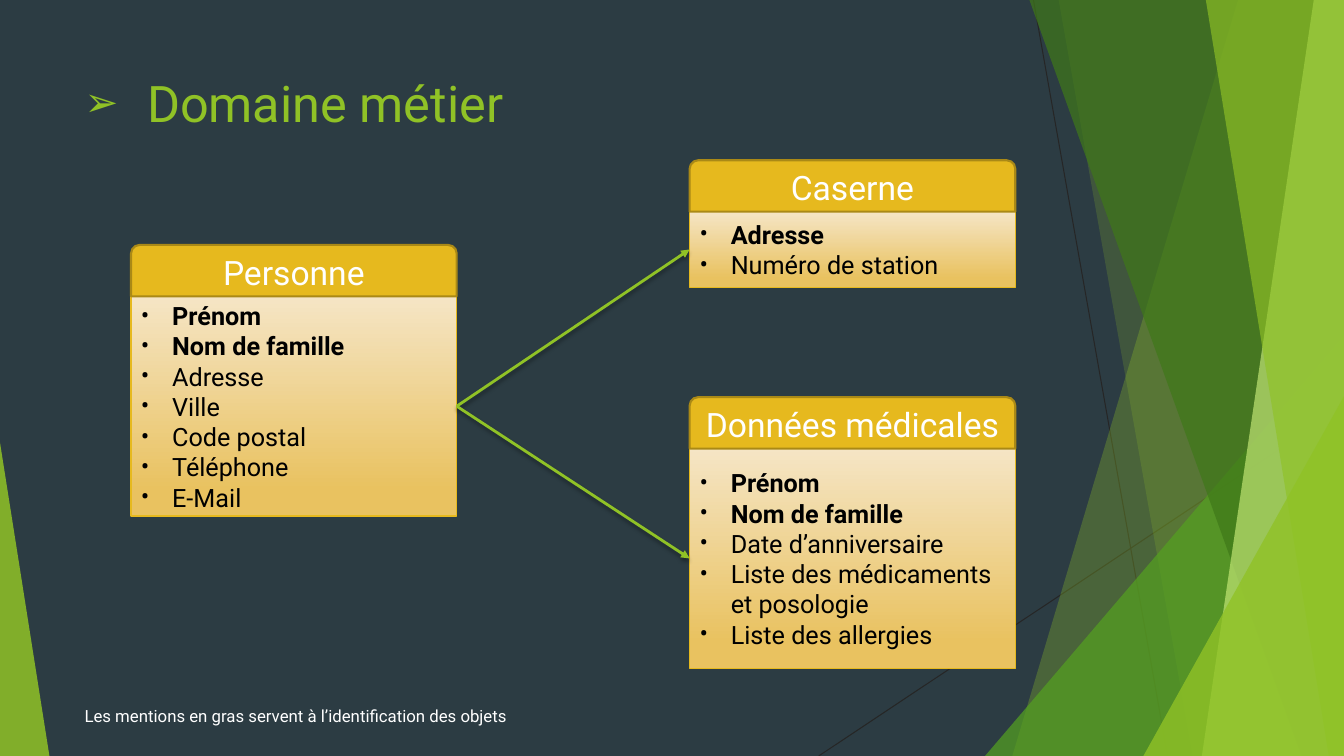
from lxml import etree
from pptx import Presentation
from pptx.dml.color import RGBColor
from pptx.enum.shapes import MSO_CONNECTOR, MSO_SHAPE
from pptx.enum.text import MSO_ANCHOR, PP_ALIGN
from pptx.oxml.ns import qn
from pptx.util import Inches, Pt

STRAIGHT = MSO_CONNECTOR.STRAIGHT
RECT = MSO_SHAPE.RECTANGLE
ROUND_TOP = MSO_SHAPE.ROUND_2_SAME_RECTANGLE
TRIANGLE = MSO_SHAPE.ISOSCELES_TRIANGLE
MIDDLE = MSO_ANCHOR.MIDDLE
LEFT, CENTER = PP_ALIGN.LEFT, PP_ALIGN.CENTER

FONT = "Roboto"
GREEN, GOLD, WHITE = "90C226", "E6B91E", "FFFFFF"
WIDTH, HEIGHT = 13.33, 7.5
CARD_WIDTH, HEADER_HEIGHT = 3.23, 0.51
LEFT_COLUMN, RIGHT_COLUMN = 1.3, 6.84

# Cards: left, top, body height, title, identifying fields, other fields
PERSON = (LEFT_COLUMN, 2.43, 2.18, "Personne", ["Prénom", "Nom de famille"],
          ["Adresse", "Ville", "Code postal", "Téléphone", "E-Mail"])
STATION = (RIGHT_COLUMN, 1.59, 0.75, "Caserne", ["Adresse"],
           ["Numéro de station"])
MEDICAL = (RIGHT_COLUMN, 3.94, 2.18, "Données médicales",
           ["Prénom", "Nom de famille"],
           ["Date d’anniversaire", "Liste des médicaments et posologie",
            "Liste des allergies"])


def rgb(color):
    return RGBColor.from_string(color)


def add_xml(parent, tag, **attrs):
    return etree.SubElement(parent, qn(tag), attrs)


def paint(sp, color, opacity=100):
    """Flat fill without outline or shadow."""
    sp.shadow.inherit = False
    sp.fill.solid()
    sp.fill.fore_color.rgb = rgb(color)
    sp.line.fill.background()
    if opacity < 100:
        clr = sp.fill._xPr.find(qn("a:solidFill"))[0]
        add_xml(clr, "a:alpha", val=str(opacity * 1000))


def outline(sp, color, width):
    sp.line.color.rgb = rgb(color)
    sp.line.width = Pt(width)


def write(p, text, size, color, bold=False, align=LEFT):
    p.text = text
    p.alignment = align
    font = p.runs[0].font
    font.name, font.size, font.bold = FONT, Pt(size), bold
    font.color.rgb = rgb(color)


def add_bullet(p, char, indent, scale=100):
    pPr = p._p.get_or_add_pPr()
    pPr.set("marL", str(Inches(indent)))
    pPr.set("indent", str(-Inches(indent)))
    add_xml(pPr, "a:buSzPct", val=str(scale * 1000))
    add_xml(pPr, "a:buFont", typeface=FONT)
    add_xml(pPr, "a:buChar", char=char)


def add_line(s, start, end, color, width):
    line = s.shapes.add_connector(STRAIGHT, *map(Inches, start + end))
    outline(line, color, width)
    effects = add_xml(line._element.spPr, "a:effectLst")
    return line, effects


def add_panel(s, top_x, bottom_x, color, opacity):
    """Slanted panel that reaches the right edge of the slide."""
    points = [(Inches(x), Inches(y)) for x, y in
              [(top_x, 0), (WIDTH, 0), (WIDTH, HEIGHT), (bottom_x, HEIGHT)]]
    builder = s.shapes.build_freeform(*points[0])
    builder.add_line_segments(points[1:], close=True)
    paint(builder.convert_to_shape(), color, opacity)


def add_corner(s, left, top, width, apex, color, opacity):
    """Triangle that stands on the bottom edge of the slide."""
    sp = s.shapes.add_shape(TRIANGLE, Inches(left), Inches(top),
                            Inches(width), Inches(HEIGHT - top))
    sp.adjustments[0] = apex
    paint(sp, color, opacity)


def add_backdrop(s):
    s.background.fill.solid()
    s.background.fill.fore_color.rgb = rgb("2C3C43")
    add_line(s, (10.25, 0), (11.58, HEIGHT), "262626", 0.75)
    add_line(s, (WIDTH, 4.03), (8.12, HEIGHT), "262626", 0.75)
    add_panel(s, 12.28, 10.04, GREEN, 30)
    add_panel(s, 10.5, 11.83, GREEN, 20)
    add_corner(s, 9.77, 3.33, 3.56, 1, "54A021", 72)
    add_panel(s, 10.21, 12.91, "3F7819", 70)
    add_panel(s, 13.03, 11.92, "C0E474", 70)
    add_panel(s, 11.96, 13.18, GREEN, 65)
    add_corner(s, 11.34, 3.93, 1.99, 1, GREEN, 80)
    add_corner(s, 0, 4.39, 0.49, 0, GREEN, 85)


def add_text(s, box, text, size, color):
    tb = s.shapes.add_textbox(*map(Inches, box))
    tb.text_frame.word_wrap = True
    p = tb.text_frame.paragraphs[0]
    write(p, text, size, color)
    return p


def add_card(s, left, top, body_height, title, keys, fields):
    """Titled card; returns its body so that arrows can be attached."""
    # Body with the field list
    body = s.shapes.add_shape(RECT, Inches(left), Inches(top + HEADER_HEIGHT),
                              Inches(CARD_WIDTH), Inches(body_height))
    body.shadow.inherit = False
    body.fill.gradient()
    body.fill.gradient_angle = 270
    for stop, (position, color) in zip(body.fill.gradient_stops,
                                       [(0, "F5E5C5"), (0.88, "E9C260")]):
        stop.position = position
        stop.color.rgb = rgb(color)
    outline(body, GOLD, 1)
    tf = body.text_frame
    tf.word_wrap = True
    tf.vertical_anchor = MIDDLE
    for i, field in enumerate(keys + fields):
        p = tf.add_paragraph() if i else tf.paragraphs[0]
        write(p, field, 18, "000000", bold=i < len(keys))
        add_bullet(p, "•", 0.31)

    # Header
    header = s.shapes.add_shape(ROUND_TOP, Inches(left), Inches(top),
                                Inches(CARD_WIDTH), Inches(HEADER_HEIGHT))
    paint(header, GOLD)
    outline(header, "AA8916", 1.5)
    header.text_frame.word_wrap = True
    header.text_frame.vertical_anchor = MIDDLE
    write(header.text_frame.paragraphs[0], title, 24, WHITE, align=CENTER)
    return body


def add_arrow(s, source, target):
    """Arrow from the right side of one card body to the left of another."""
    line, effects = add_line(s, (0, 0), (1, 1), GREEN, 2)
    line.begin_connect(source, 3)
    line.end_connect(target, 1)
    add_xml(line.line._get_or_add_ln(), "a:tailEnd", type="triangle")
    shadow = add_xml(effects, "a:outerShdw", blurRad=str(Pt(3)),
                     dist=str(Pt(2)), dir="5400000", rotWithShape="0")
    clr = add_xml(shadow, "a:srgbClr", val="000000")
    add_xml(clr, "a:alpha", val="35000")


def build_domain_slide(prs):
    s = prs.slides.add_slide(prs.slide_layouts[6])
    add_backdrop(s)
    title = add_text(s, (0.74, 0.67, 9.4, 1.44), "Domaine métier", 36, GREEN)
    add_bullet(title, "➢", 0.62, scale=80)
    person, station, medical = [add_card(s, *card)
                                for card in (PERSON, STATION, MEDICAL)]
    for target in (station, medical):
        add_arrow(s, person, target)
    add_text(s, (0.74, 6.95, 5.86, 0.3),
             "Les mentions en gras servent à l’identification des objets",
             12, WHITE)


def main():
    prs = Presentation()
    prs.slide_width, prs.slide_height = Inches(WIDTH), Inches(HEIGHT)
    build_domain_slide(prs)
    prs.save("out.pptx")


if __name__ == "__main__":
    main()
